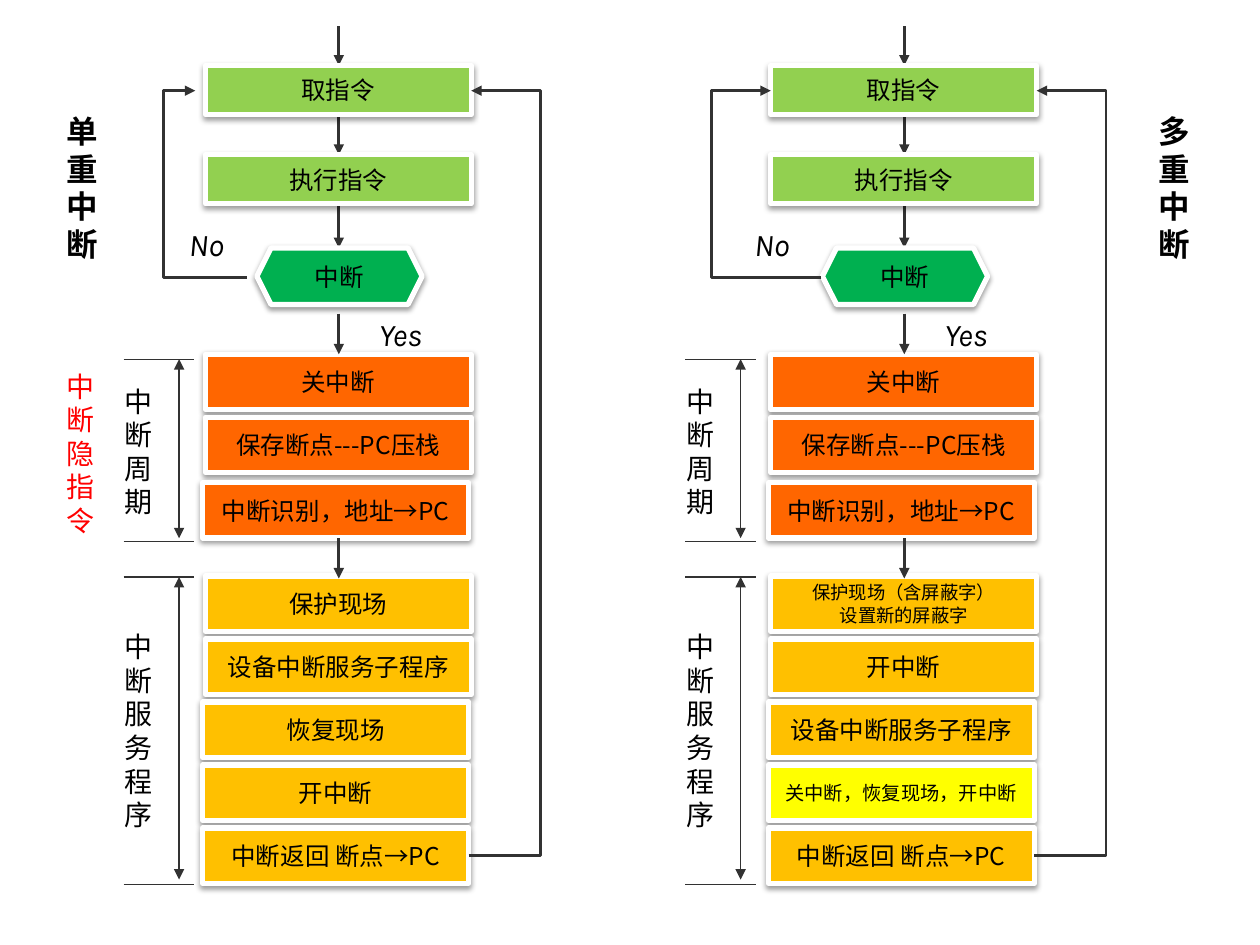
from dataclasses import dataclass

from lxml.etree import SubElement
from pptx import Presentation
from pptx.dml.color import RGBColor
from pptx.enum.shapes import MSO_CONNECTOR as Link, MSO_SHAPE as Preset
from pptx.enum.text import MSO_ANCHOR as Anchor, MSO_AUTO_SIZE as AutoSize, PP_ALIGN as Align
from pptx.oxml.ns import qn
from pptx.util import Cm, Pt


@dataclass(frozen=True)
class Theme:
    black: str = "000000"
    white: str = "FFFFFF"
    red: str = "FF0000"
    line: str = "323232"
    fetch: str = "92D050"
    decision: str = "00B050"
    cycle: str = "FF6600"
    service: str = "FFC000"
    highlight: str = "FFFF00"
    cjk: str = "Noto Sans CJK SC"
    latin: str = "Karla"
    heading: str = "Arial"
    title_size: float = 18
    label_size: float = 16
    box_size: float = 14
    small_size: float = 11
    tiny_size: float = 10.5


theme = Theme()
presentation = Presentation()
presentation.slide_width, presentation.slide_height = Cm(25.4), Cm(19.05)
slide = presentation.slides.add_slide(presentation.slide_layouts[6])


def write_text(text, left, top, width, height, size=theme.label_size, font=theme.cjk,
               color=theme.black, bold=None, italic=None, fill=None, preset=Preset.RECTANGLE):
    """Write a plain label, or a raised box with centred text when a fill is given."""
    area = Cm(left), Cm(top), Cm(width), Cm(height)
    if fill:
        shape = slide.shapes.add_shape(preset, *area)
        shape.fill.solid()
        shape.fill.fore_color.rgb = RGBColor.from_string(fill)
        shape.line.color.rgb = RGBColor.from_string(theme.white)
        shape.line.width = Pt(3)
        shape.shadow.inherit = False
        effects = shape._element.spPr.find(qn("a:effectLst"))
        shadow = SubElement(effects, qn("a:outerShdw"), blurRad=str(Pt(3.1)),
                            dist=str(Pt(1.6)), dir="5400000", rotWithShape="0")
        shade = SubElement(shadow, qn("a:srgbClr"), val=theme.black)
        SubElement(shade, qn("a:alpha"), val="38000")
    else:
        shape = slide.shapes.add_textbox(*area)
        shape.text_frame.auto_size = AutoSize.SHAPE_TO_FIT_TEXT
    frame = shape.text_frame
    frame.word_wrap = True
    frame.vertical_anchor = Anchor.MIDDLE if fill else Anchor.TOP
    frame.text = text
    for paragraph in frame.paragraphs:
        paragraph.alignment = Align.CENTER if fill else Align.LEFT
        for run in paragraph.runs:
            run.font.size, run.font.name = Pt(size), font
            run.font.bold, run.font.italic = bold, italic
            run.font.color.rgb = RGBColor.from_string(color)
            SubElement(run._r.get_or_add_rPr(), qn("a:ea"), typeface=theme.cjk)


def draw_line(x1, y1, x2, y2, width=1.5, ends=("tail",), via=None):
    """Draw a straight line, or an elbow that turns at x = via."""
    kind = Link.STRAIGHT if via is None else Link.ELBOW
    connector = slide.shapes.add_connector(kind, Cm(x1), Cm(y1), Cm(x2), Cm(y2))
    connector.line.color.rgb = RGBColor.from_string(theme.line)
    connector.line.width = Pt(width)
    properties = connector._element.spPr
    for end in ends:
        SubElement(properties.find(qn("a:ln")), qn(f"a:{end}End"), type="triangle")
    SubElement(properties, qn("a:effectLst"))
    if via is not None:
        guides = properties.find(qn("a:prstGeom")).get_or_add_avLst()
        turn = round((via - x1) / (x2 - x1) * 100000)
        SubElement(guides, qn("a:gd"), name="adj1", fmla=f"val {turn}")


# Each chart: heading and its left, flow shift, bracket shift, loop (start, turn, end), services
charts = [
    ("单重中断", 1.09, 0, 0, (4.98, 3.3, 3.94), [
        ("保护现场", theme.box_size, theme.service),
        ("设备中断服务子程序", theme.box_size, theme.service),
        ("恢复现场", theme.box_size, theme.service),
        ("开中断", theme.box_size, theme.service)]),
    ("多重中断", 23.11, 11.4, 11.32, (16.56, 14.35, 15.54), [
        ("保护现场（含屏蔽字）\n设置新的屏蔽字", theme.tiny_size, theme.service),
        ("开中断", theme.box_size, theme.service),
        ("设备中断服务子程序", theme.box_size, theme.service),
        ("关中断，恢复现场，开中断", theme.small_size, theme.highlight)]),
]
fetch_steps = [("取指令", 1.32), ("执行指令", 3.12)]
cycle_steps = [("关中断", 4.14, 7.14), ("保存断点---PC压栈", 4.14, 8.41),
               ("中断识别，地址→PC", 4.09, 9.73)]
brackets = [("中断\n周期", 7.24, 10.85, 10.92, 7.62, 3),
            ("中断\n服务程序", 11.63, 17.73, 17.83, 12.57, 4.37)]
box_width, box_height, service_top, service_step = 5.36, 1.12, 11.61, 1.27

for heading, heading_left, shift, bracket_shift, loop, services in charts:
    center = 6.83 + shift

    # Arrows that run behind the upper boxes
    for start, end in [(0.53, 1.32), (2.34, 3.12), (3.73, 5)]:
        draw_line(center, start, center, end)

    # Fetch, execute and the interrupt test
    for text, top in fetch_steps:
        write_text(text, 4.14 + shift, top, box_width, 0.99,
                   size=theme.box_size, fill=theme.fetch)
    write_text("中断", 5.18 + shift, 5, 3.33, 1.14, size=theme.box_size,
               fill=theme.decision, preset=Preset.HEXAGON)

    # Interrupt cycle
    for text, left, top in cycle_steps:
        write_text(text, left + shift, top, box_width, box_height,
                   size=theme.box_size, fill=theme.cycle)

    # Service routine
    steps = services + [("中断返回 断点→PC", theme.box_size, theme.service)]
    for index, (text, size, fill) in enumerate(steps):
        left = 4.14 if index < 2 else 4.09
        write_text(text, left + shift, service_top + index * service_step,
                   box_width, box_height, size=size, fill=fill)

    # Lower arrows, the No loop and the return path
    for start, end in [(6.32, 7.14), (10.85, 11.66)]:
        draw_line(center, start, center, end)
    loop_start, loop_turn, loop_end = loop
    draw_line(loop_start, 5.59, loop_end, 1.83, via=loop_turn)
    draw_line(9.45 + shift, 17.25, 9.5 + shift, 1.83, via=10.9 + shift)

    # Branch labels and heading
    for text, left, top, width in [("Yes", 7.39, 6.22, 2.06), ("No", 3.56, 4.42, 1.6)]:
        write_text(text, left + shift, top, width, 1.02, size=theme.title_size,
                   font=theme.latin, italic=True)
    write_text(heading, heading_left, 2.13, 1.19, 3.33, size=theme.title_size,
               font=theme.heading, bold=True)

    # Brackets beside the two phases
    for text, top, arrow_end, bottom, text_top, text_height in brackets:
        for y in (top, bottom):
            draw_line(2.49 + bracket_shift, y, 3.91 + bracket_shift, y, width=0.75, ends=())
        x = 3.61 + bracket_shift
        draw_line(x, top, x, arrow_end, width=0.75, ends=("head", "tail"))
        write_text(text, 2.26 + bracket_shift, text_top, 1.19, text_height)

# Name of the hidden instruction
write_text("中断隐指令", 1.09, 7.32, 1.19, 3.68, color=theme.red)

presentation.save("out.pptx")
